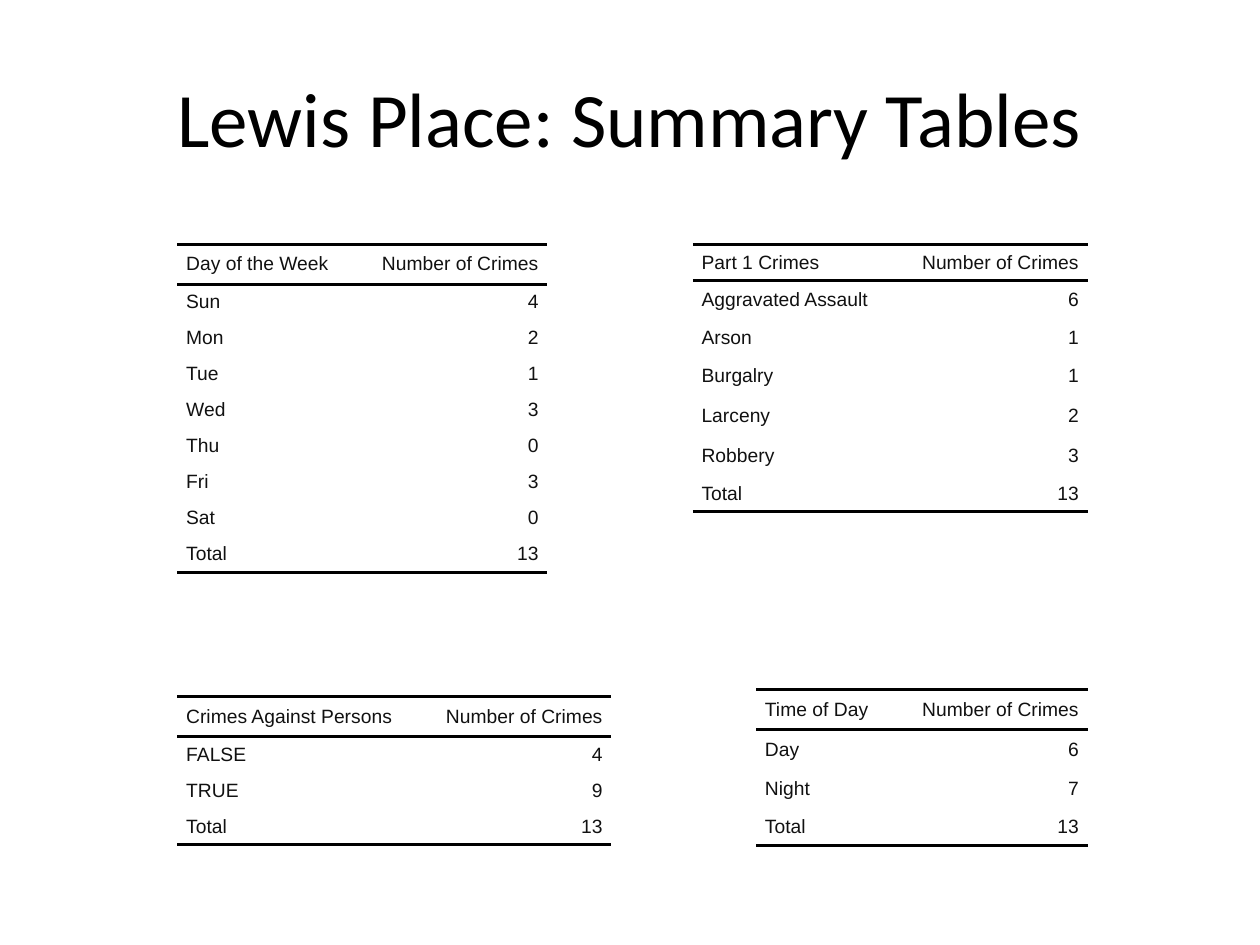
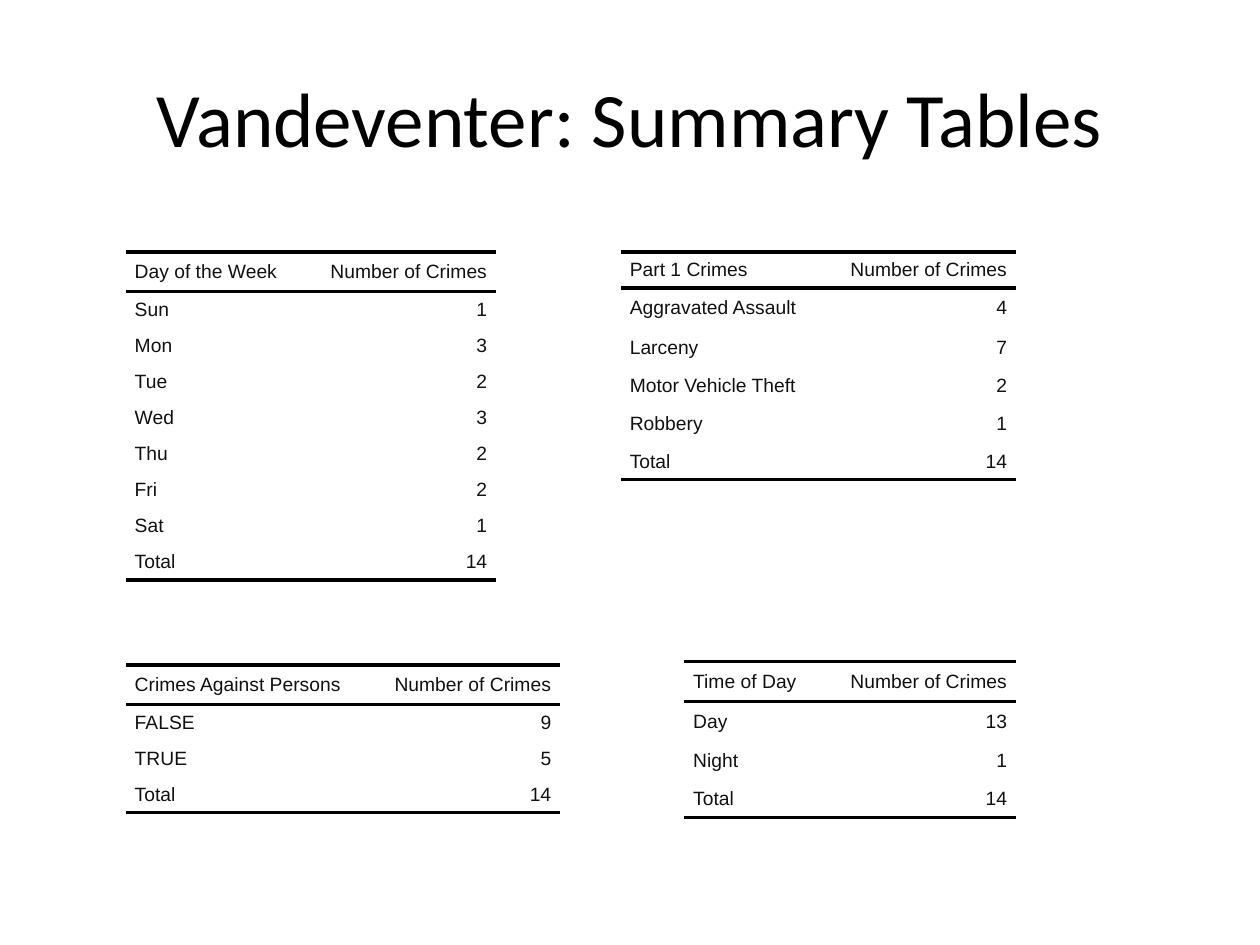
import pptx
import pptx.util
import pptx.dml.color
import pptx.enum.text
import pptx.oxml
import pptx.oxml.ns
import lxml.etree
from dataclasses import dataclass

Pt = pptx.util.Pt
Align = pptx.enum.text.PP_ALIGN
Middle = pptx.enum.text.MSO_ANCHOR.MIDDLE


@dataclass(frozen=True)
class Theme:
    black: str = "000000"
    ink: str = "111111"
    head: str = "Calibri"
    body: str = "Arial"
    big: float = 44
    small: float = 11
    rule: float = 2      # weight of table rules
    gap: float = 2       # space above and below cell text
    pad: float = 5       # side margin of a cell
    short: float = 20.6  # row heights
    tall: float = 22.8
    count: float = 109.6  # width of the count column


THEME = Theme()
PLAIN = "{2D5ABB26-0587-4C30-8999-92F81FD0307C}"  # no style, no grid
DAYS = ["Sun", "Mon", "Tue", "Wed", "Thu", "Fri", "Sat"]


def write(frame, text, font, size, color, align=Align.LEFT, gap=0):
    """Put one formatted paragraph into a text frame."""
    para = frame.paragraphs[0]
    para.alignment = align
    para.space_before = para.space_after = Pt(gap)
    run = para.add_run()
    run.text = text
    run.font.name = font
    run.font.size = Pt(size)
    run.font.color.rgb = pptx.dml.color.RGBColor.from_string(color)


def edge(cell, ruled):
    """Rule the named sides of a cell and clear the others."""
    props = cell._tc.get_or_add_tcPr()
    for side in ("lnL", "lnR", "lnT", "lnB"):
        line = lxml.etree.SubElement(props, pptx.oxml.ns.qn("a:" + side))
        if side in ruled:
            line.set("w", str(Pt(THEME.rule)))
            fill = lxml.etree.SubElement(line, pptx.oxml.ns.qn("a:solidFill"))
            tint = lxml.etree.SubElement(fill, pptx.oxml.ns.qn("a:srgbClr"))
            tint.set("val", THEME.black)
        else:
            lxml.etree.SubElement(line, pptx.oxml.ns.qn("a:noFill"))


def title(slide, text, x, y, w, h):
    """Centred slide title."""
    frame = slide.shapes.add_textbox(Pt(x), Pt(y), Pt(w), Pt(h)).text_frame
    frame.word_wrap = True
    frame.vertical_anchor = Middle
    write(frame, text, THEME.head, THEME.big, THEME.black, Align.CENTER)


def tally(slide, x, y, wide, name, items, tall):
    """Table of counts with its total; tall holds the taller rows."""
    total = sum(num for _, num in items)
    rows = [(name, "Number of Crimes"), *items, ("Total", total)]
    sizes = [THEME.tall if i in tall else THEME.short for i in range(len(rows))]
    cols = [wide, THEME.count]
    table = slide.shapes.add_table(len(rows), 2, Pt(x), Pt(y),
                                   Pt(sum(cols)), Pt(sum(sizes))).table
    table.first_row = table.horz_banding = False
    table._tbl.tblPr.find(pptx.oxml.ns.qn("a:tableStyleId")).text = PLAIN
    for col, width in zip(table.columns, cols):
        col.width = Pt(width)

    last = len(rows) - 1
    for i, row in enumerate(rows):
        table.rows[i].height = Pt(sizes[i])
        ruled = {0: ("lnT", "lnB"), 1: ("lnT",), last: ("lnB",)}.get(i, ())
        for j, text in enumerate(row):
            cell = table.cell(i, j)
            edge(cell, ruled)
            cell.fill.background()
            cell.margin_top = cell.margin_bottom = 0
            cell.margin_left = cell.margin_right = Pt(THEME.pad)
            cell.vertical_anchor = Middle
            write(cell.text_frame, str(text), THEME.body, THEME.small,
                  THEME.ink, Align.RIGHT if j else Align.LEFT, THEME.gap)


def page(deck, place, left, right, tops, part, tall, days, persons, times):
    """Four tables: one pair set from the left, one ending at the right."""
    slide = deck.slides.add_slide(deck.slide_layouts[6])
    title(slide, place + ": Summary Tables", 36, 21.6, 648, 90)
    high, low, end = tops

    def flush(y, wide, *rest):
        tally(slide, right - wide - THEME.count, y, wide, *rest)

    flush(high, 116, "Part 1 Crimes", part, tall)
    tally(slide, left, high, 101.8, "Day of the Week",
          list(zip(DAYS, days)), {0})
    tally(slide, left, low, 138.4, "Crimes Against Persons",
          list(zip(["FALSE", "TRUE"], persons)), {0})
    flush(end, 79.8, "Time of Day",
          list(zip(["Day", "Night"], times)), {0, 1, 2})


def main():
    deck = pptx.Presentation()
    deck.slide_width, deck.slide_height = Pt(720), Pt(540)

    page(deck, "Lewis Place", 101.4, 621.5, (139.6, 398, 394),
         [("Aggravated Assault", 6), ("Arson", 1), ("Burgalry", 1),
          ("Larceny", 2), ("Robbery", 3)], {1, 3, 4, 5},
         [4, 2, 1, 3, 0, 3, 0], [4, 9], [6, 7])
    page(deck, "Vandeventer", 72, 580.5, (144, 380, 378),
         [("Aggravated Assault", 4), ("Larceny", 7),
          ("Motor Vehicle Theft", 2), ("Robbery", 1)], {1, 2, 4},
         [1, 3, 2, 3, 2, 2, 1], [9, 5], [13, 1])
    deck.save("out.pptx")


if __name__ == "__main__":
    main()
